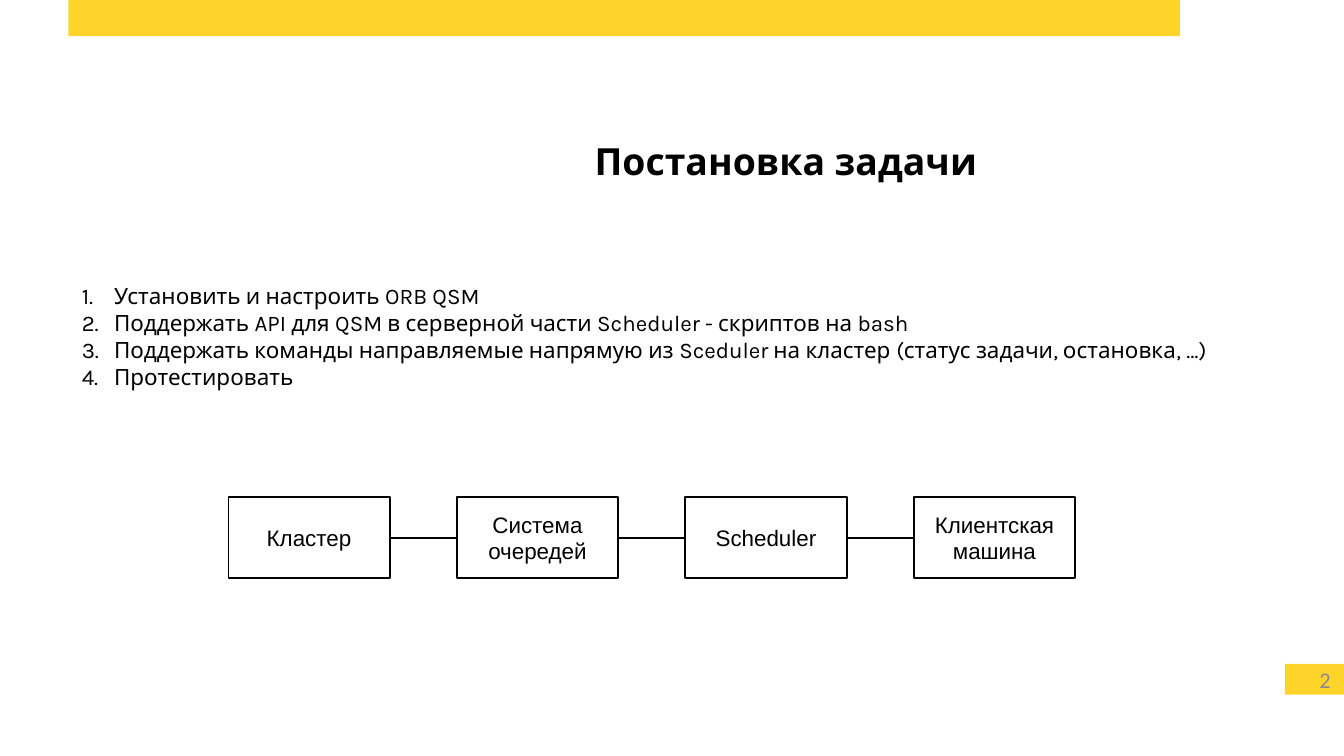
from dataclasses import dataclass

from lxml import etree
from pptx import Presentation
from pptx.dml.color import RGBColor
from pptx.enum.shapes import MSO_CONNECTOR, MSO_SHAPE
from pptx.enum.text import MSO_ANCHOR, MSO_AUTO_SIZE, PP_ALIGN
from pptx.oxml.ns import qn
from pptx.slide import Slide
from pptx.text.text import TextFrame
from pptx.util import Inches, Pt

YELLOW = RGBColor(0xFF, 0xD4, 0x2A)
BLACK = RGBColor(0x00, 0x00, 0x00)
GRAY = RGBColor(0x8B, 0x8B, 0x8B)
RECT = MSO_SHAPE.RECTANGLE
STRAIGHT = MSO_CONNECTOR.STRAIGHT
LEFT, CENTER, RIGHT = PP_ALIGN.LEFT, PP_ALIGN.CENTER, PP_ALIGN.RIGHT
TOP, MIDDLE = MSO_ANCHOR.TOP, MSO_ANCHOR.MIDDLE
NO_AUTOFIT = MSO_AUTO_SIZE.NONE

SLIDE_WIDTH = 10
SLIDE_HEIGHT = SLIDE_WIDTH * 9 / 16
NODE_LEFT, NODE_TOP = 1.7, 3.7
NODE_WIDTH, NODE_HEIGHT = 1.2, 0.6
NODE_STEP = 1.7
LIST_INDENT = 0.24


@dataclass(frozen=True)
class Box:
    left: float
    top: float
    width: float
    height: float

    def lengths(self) -> tuple:
        return tuple(Inches(v) for v in (self.left, self.top, self.width, self.height))


@dataclass(frozen=True)
class Style:
    font: str
    size: float
    color: RGBColor
    align: PP_ALIGN = LEFT
    anchor: MSO_ANCHOR = TOP
    bold: bool = False


TITLE = Style("Karla", 20, BLACK, RIGHT, bold=True)
BODY = Style("Karla", 12, BLACK)
NODE = Style("Arial", 12, BLACK, CENTER, MIDDLE)
NUMBER = Style("Calibri", 12, GRAY, RIGHT, MIDDLE)

BARS = (Box(0.51, 0, 8.27, 0.27), Box(9.56, 4.94, 0.44, 0.23))
TASKS = (
    "Установить и настроить ORB QSM",
    "Поддержать API для QSM в серверной части Scheduler - скриптов на bash",
    "Поддержать команды направляемые напрямую из Sceduler на кластер "
    "(статус задачи, остановка, …)",
    "Протестировать",
)
NODES = (
    ("Кластер",),
    ("Система", "очередей"),
    ("Scheduler",),
    ("Клиентская", "машина"),
)


def write(tf: TextFrame, lines: tuple[str, ...], style: Style) -> None:
    tf.word_wrap = True
    tf.auto_size = NO_AUTOFIT
    tf.vertical_anchor = style.anchor
    for i, line in enumerate(lines):
        p = tf.paragraphs[0] if i == 0 else tf.add_paragraph()
        p.alignment = style.align
        p.space_before = Pt(0)
        r = p.add_run()
        r.text = line
        r.font.name = style.font
        r.font.size = Pt(style.size)
        r.font.bold = style.bold
        r.font.color.rgb = style.color


def number_paragraphs(tf: TextFrame) -> None:
    for p in tf.paragraphs:
        pPr = p._p.get_or_add_pPr()
        pPr.set("marL", str(Inches(LIST_INDENT)))
        pPr.set("indent", str(-Inches(LIST_INDENT)))
        clr = etree.SubElement(pPr, qn("a:buClr"))
        etree.SubElement(clr, qn("a:srgbClr"), val=str(BLACK))
        etree.SubElement(pPr, qn("a:buFont"), typeface=BODY.font)
        etree.SubElement(pPr, qn("a:buAutoNum"), type="arabicPeriod")


def add_bar(s: Slide, box: Box) -> None:
    sp = s.shapes.add_shape(RECT, *box.lengths())
    sp.shadow.inherit = False
    sp.fill.solid()
    sp.fill.fore_color.rgb = YELLOW
    sp.line.fill.background()


def add_text(s: Slide, box: Box, lines: tuple[str, ...], style: Style) -> TextFrame:
    tf = s.shapes.add_textbox(*box.lengths()).text_frame
    write(tf, lines, style)
    return tf


def add_node(s: Slide, left: float, lines: tuple[str, ...]) -> None:
    box = Box(left, NODE_TOP, NODE_WIDTH, NODE_HEIGHT)
    sp = s.shapes.add_shape(RECT, *box.lengths())
    sp.shadow.inherit = False
    sp.fill.background()
    sp.line.color.rgb = BLACK
    sp.line.width = Pt(1)
    tf = sp.text_frame
    tf.margin_left = tf.margin_right = Inches(0.11)
    tf.margin_top = tf.margin_bottom = Inches(0.06)
    write(tf, lines, NODE)


def add_link(s: Slide, start: float, end: float) -> None:
    y = Inches(NODE_TOP + NODE_HEIGHT / 2)
    link = s.shapes.add_connector(STRAIGHT, Inches(start), y, Inches(end), y)
    link.line.color.rgb = BLACK
    link.line.width = Pt(1)
    etree.SubElement(link._element.spPr, qn("a:effectLst"))


def main() -> None:
    prs = Presentation()
    prs.slide_width, prs.slide_height = Inches(SLIDE_WIDTH), Inches(SLIDE_HEIGHT)
    s = prs.slides.add_slide(prs.slide_layouts[5])

    for bar in BARS:
        add_bar(s, bar)
    add_text(s, Box(7.67, 4.91, 2.33, 0.3), ("2",), NUMBER)

    title = s.shapes.title
    title.left, title.top, title.width, title.height = Box(0.53, 0.98, 6.84, 0.77).lengths()
    write(title.text_frame, ("Постановка задачи",), TITLE)

    number_paragraphs(add_text(s, Box(0.51, 2.05, 8.99, 1.3), TASKS, BODY))

    lefts = [NODE_LEFT + i * NODE_STEP for i in range(len(NODES))]
    for left, lines in zip(lefts, NODES):
        add_node(s, left, lines)
    for left, following in zip(lefts, lefts[1:]):
        add_link(s, left + NODE_WIDTH, following)

    prs.save("out.pptx")


if __name__ == "__main__":
    main()
